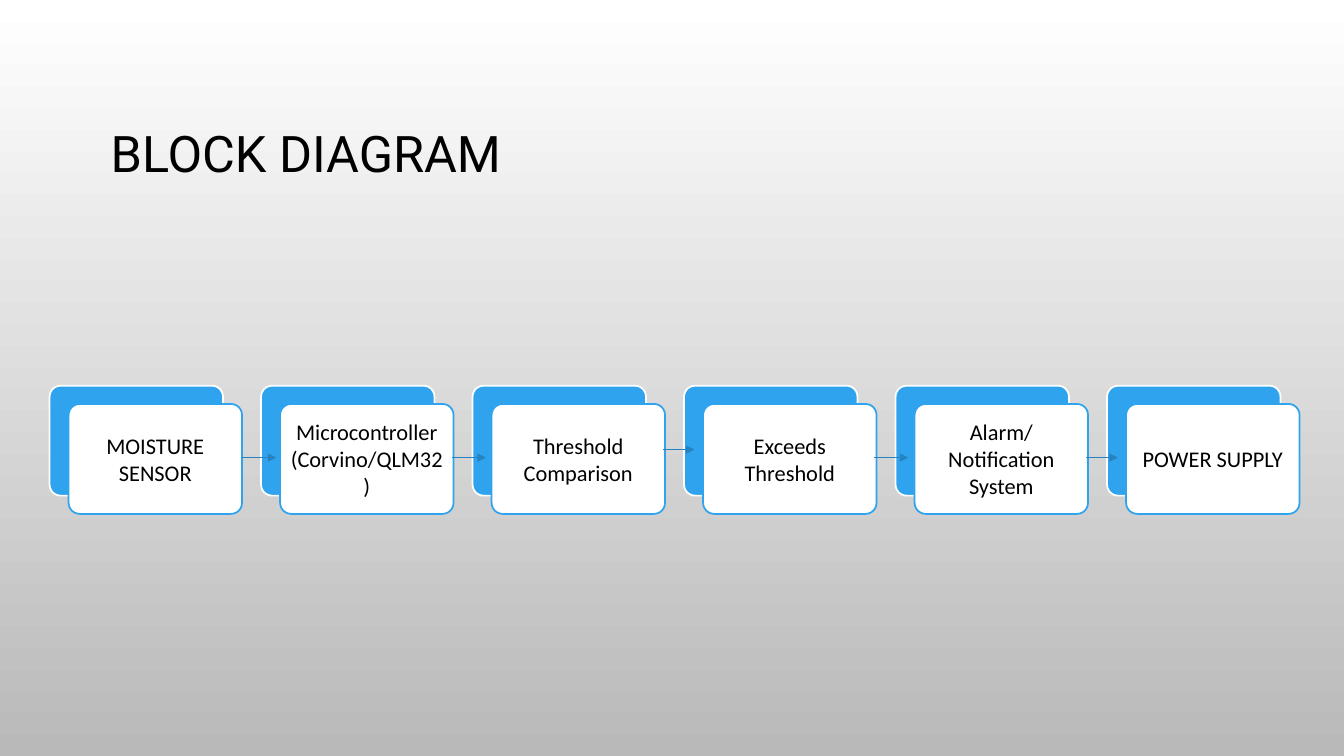
from lxml import etree
from pptx import Presentation
from pptx.dml.color import RGBColor
from pptx.enum.shapes import MSO_CONNECTOR, MSO_SHAPE
from pptx.enum.text import MSO_ANCHOR, PP_ALIGN
from pptx.oxml.ns import qn
from pptx.util import Cm, Pt

ROUNDED = MSO_SHAPE.ROUNDED_RECTANGLE
STRAIGHT = MSO_CONNECTOR.STRAIGHT
MIDDLE = MSO_ANCHOR.MIDDLE
LEFT, CENTER = PP_ALIGN.LEFT, PP_ALIGN.CENTER

COLORS = {
    "white": "FFFFFF",
    "gray": "B9B9B9",
    "blue": "2FA3EE",
    "arrow": "2683BF",
    "text": "000000",
}

STAGES = [
    "MOISTURE SENSOR",
    "Microcontroller (Corvino/QLM32)",
    "Threshold Comparison",
    "Exceeds Threshold",
    "Alarm/ Notification System",
    "POWER SUPPLY",
]
ARROWS = [
    (6.1, 6.96, 11.53),
    (11.4, 12.24, 11.53),
    (16.71, 17.5, 11.33),
    (22.02, 22.89, 11.53),
    (27.38, 28.17, 11.53),
]

FIRST_LEFT, BLOCK_TOP, PITCH = 1.25, 9.72, 5.33
BLOCK_WIDTH, BLOCK_HEIGHT = 4.37, 2.77
CARD_SHIFT_X, CARD_SHIFT_Y = 0.48, 0.46


def color(name):
    return RGBColor.from_string(COLORS[name])


def set_background(slide):
    fill = slide.background.fill
    fill.gradient()
    fill.gradient_angle = 270
    for stop, name in zip(fill.gradient_stops, ("white", "gray")):
        stop.color.rgb = color(name)


def write_text(shape, text, font_name, size, alignment, inset, spacing):
    frame = shape.text_frame
    frame.word_wrap = True
    frame.vertical_anchor = MIDDLE
    frame.margin_left = frame.margin_right = Cm(inset)
    frame.margin_top = frame.margin_bottom = Cm(0.18)
    paragraph = frame.paragraphs[0]
    paragraph.text = text
    paragraph.alignment = alignment
    paragraph.line_spacing = spacing
    paragraph.font.name = font_name
    paragraph.font.size = Pt(size)
    paragraph.font.color.rgb = color("text")


def add_title(slide, text):
    shape = slide.shapes.add_textbox(Cm(2.54), Cm(1.71), Cm(28.78), Cm(4.45))
    write_text(shape, text, "Roboto", 36, LEFT, 0.25, 0.9)


def add_panel(slide, left, top, fill_name, line_name):
    shape = slide.shapes.add_shape(
        ROUNDED, Cm(left), Cm(top), Cm(BLOCK_WIDTH), Cm(BLOCK_HEIGHT)
    )
    shape.adjustments[0] = 0.1
    shape.shadow.inherit = False
    shape.fill.solid()
    shape.fill.fore_color.rgb = color(fill_name)
    shape.line.color.rgb = color(line_name)
    shape.line.width = Pt(1.25)
    return shape


def add_stage(slide, left, text):
    add_panel(slide, left, BLOCK_TOP, "blue", "white")
    card = add_panel(
        slide, left + CARD_SHIFT_X, BLOCK_TOP + CARD_SHIFT_Y, "white", "blue"
    )
    write_text(card, text, "Calibri", 16, CENTER, 0.18, 1.0)


def add_arrow(slide, start, end, height):
    connector = slide.shapes.add_connector(
        STRAIGHT, Cm(start), Cm(height), Cm(end), Cm(height)
    )
    connector.line.color.rgb = color("arrow")
    connector.line.width = Pt(0.75)
    line = connector.line._get_or_add_ln()
    etree.SubElement(line, qn("a:tailEnd"), type="triangle")
    etree.SubElement(connector._element.spPr, qn("a:effectLst"))


def main():
    presentation = Presentation()
    presentation.slide_width = Cm(33.87)
    presentation.slide_height = Cm(19.05)
    slide = presentation.slides.add_slide(presentation.slide_layouts[6])
    set_background(slide)
    add_title(slide, "BLOCK DIAGRAM")
    for index, text in enumerate(STAGES):
        add_stage(slide, FIRST_LEFT + index * PITCH, text)
    for start, end, height in ARROWS:
        add_arrow(slide, start, end, height)
    presentation.save("out.pptx")


if __name__ == "__main__":
    main()
